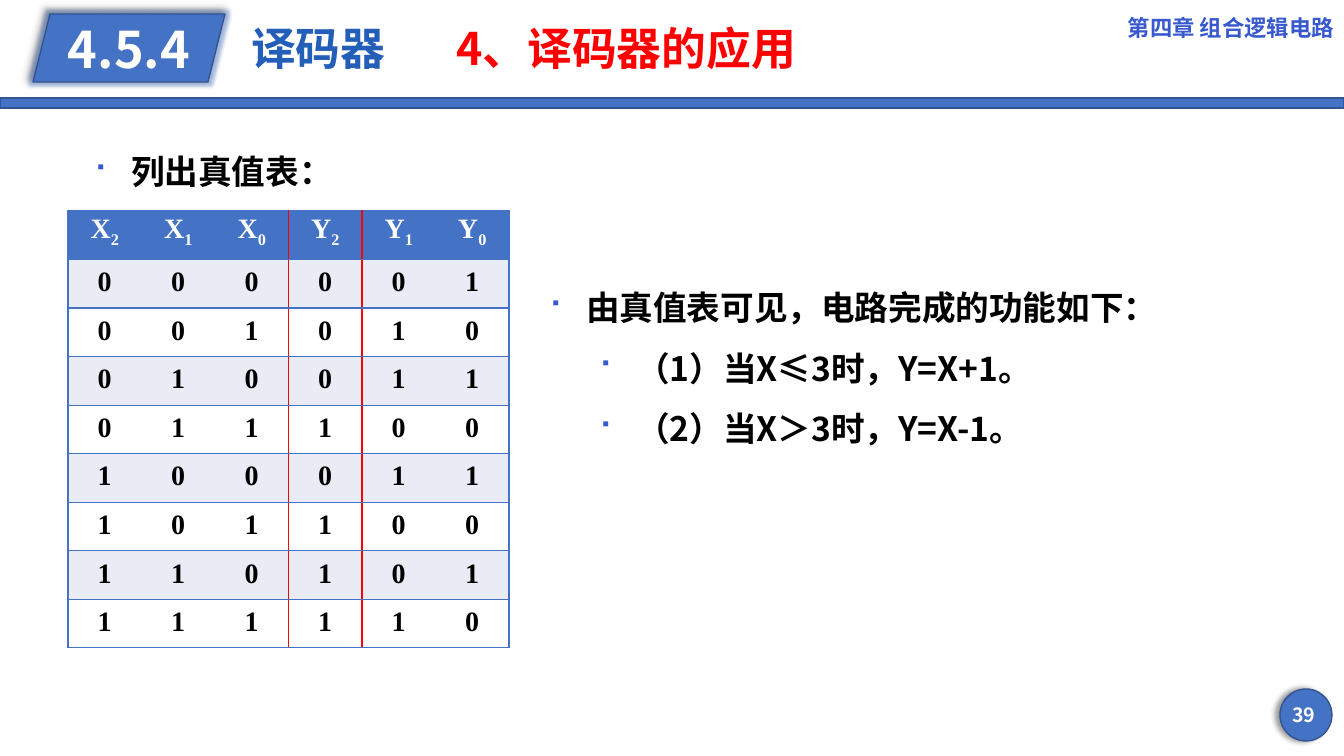
from lxml.etree import SubElement
from pptx import Presentation
from pptx.dml.color import RGBColor
from pptx.enum.shapes import MSO_SHAPE as Preset
from pptx.enum.text import MSO_ANCHOR as Anchor, MSO_AUTO_SIZE as AutoSize, PP_ALIGN as Align
from pptx.oxml.ns import qn
from pptx.util import Pt

WIDTH, HEIGHT = 1344, 756
EMU_PER_PX = 12192000 / WIDTH

BLUE = RGBColor(0x44, 0x72, 0xC4)
OUTLINE = RGBColor(0x32, 0x54, 0x91)
TITLE_BLUE = RGBColor(0x23, 0x5E, 0xB8)
ACCENT = RGBColor(0x38, 0x59, 0xCD)
RED = RGBColor(0xFF, 0, 0)
BAND = RGBColor(0xE9, 0xEB, 0xF5)
WHITE = RGBColor(0xFF, 0xFF, 0xFF)
BLACK = RGBColor(0, 0, 0)

SANS, SERIF = "Noto Sans CJK SC", "Times New Roman"
INPUTS = 3
HEADERS = ["X2", "X1", "X0", "Y2", "Y1", "Y0"]
OUTPUTS = ["001", "010", "011", "100", "011", "100", "101", "110"]


def px(length):
    return round(length * EMU_PER_PX)


def add_xml(parent, tag, **attributes):
    values = {name: str(value) for name, value in attributes.items()}
    return SubElement(parent, qn(tag), values)


def write(paragraph, text, size=24, color=BLACK, font=SANS, subscript=False):
    run = paragraph.add_run()
    run.text = text
    run.font.size, run.font.bold, run.font.name = Pt(size), True, font
    run.font.color.rgb = color
    properties = run._r.get_or_add_rPr()
    add_xml(properties, "a:ea", typeface=font)
    if subscript:
        properties.set("baseline", "-25000")


class SlideBuilder:
    def __init__(self, presentation):
        self.slide = presentation.slides.add_slide(presentation.slide_layouts[3])

    def place(self, shape, box):
        shape.left, shape.top, shape.width, shape.height = map(px, box)

    def shape(self, preset, box, shadow_angle=None, glow=False):
        shape = self.slide.shapes.add_shape(preset, *map(px, box))
        shape.shadow.inherit = False
        shape.fill.solid()
        shape.fill.fore_color.rgb = BLUE
        shape.line.color.rgb, shape.line.width = OUTLINE, Pt(1)
        effects = shape._element.spPr.find(qn("a:effectLst"))
        if glow:
            halo = add_xml(effects, "a:glow", rad=Pt(5))
            color = add_xml(halo, "a:srgbClr", val=BLUE)
            add_xml(color, "a:alpha", val=40000)
        if shadow_angle is not None:
            shadow = add_xml(effects, "a:outerShdw", blurRad=Pt(4), dist=Pt(3),
                             dir=shadow_angle * 60000, algn="ctr", rotWithShape=0)
            color = add_xml(shadow, "a:srgbClr", val=BLACK)
            add_xml(color, "a:alpha", val=40000)
        return shape

    def text(self, box, text, align, **style):
        self.label(self.slide.shapes.add_textbox(*map(px, box)), text, align, **style)

    def label(self, shape, text, align, **style):
        frame = shape.text_frame
        frame.word_wrap, frame.vertical_anchor = True, Anchor.MIDDLE
        paragraph = frame.paragraphs[0]
        paragraph.alignment = align
        write(paragraph, text, **style)

    def title(self, box, topic, heading, tab):
        title = self.slide.shapes.title
        self.place(title, box)
        frame = title.text_frame
        frame.auto_size, frame.vertical_anchor = AutoSize.NONE, Anchor.MIDDLE
        paragraph = frame.paragraphs[0]
        paragraph.alignment, paragraph.line_spacing = Align.LEFT, 0.9
        tabs = add_xml(paragraph._p.get_or_add_pPr(), "a:tabLst")
        add_xml(tabs, "a:tab", pos=px(tab), algn="l")
        write(paragraph, topic + "\t", size=32, color=TITLE_BLUE)
        write(paragraph, heading, size=32, color=RED)

    def bullets(self, index, box, items):
        body = self.slide.placeholders[index]
        self.place(body, box)
        frame = body.text_frame
        frame.auto_size, frame.vertical_anchor = AutoSize.NONE, Anchor.TOP
        for number, (level, text) in enumerate(items):
            paragraph = frame.add_paragraph() if number else frame.paragraphs[0]
            paragraph.level = level
            properties = paragraph._p.get_or_add_pPr()
            properties.set("marL", str(px(38 + 50 * level)))
            properties.set("indent", str(px(-38)))
            add_xml(add_xml(properties, "a:buClr"), "a:srgbClr", val=ACCENT)
            add_xml(properties, "a:buFont", typeface="Wingdings")
            add_xml(properties, "a:buChar", char="■")
            paragraph.line_spacing, paragraph.space_before = 1.5, Pt(0)
            write(paragraph, text)

    def border(self, cell, side, color):
        line = add_xml(cell._tc.get_or_add_tcPr(), f"a:ln{side}", w=Pt(1))
        if color is None:
            add_xml(line, "a:noFill")
        else:
            add_xml(add_xml(line, "a:solidFill"), "a:srgbClr", val=color)

    def truth_table(self, box, rows):
        columns = len(rows[0])
        table = self.slide.shapes.add_table(len(rows), columns, *map(px, box)).table
        # Colour of each vertical rule, from the left edge to the right edge
        rules = [None] * (columns + 1)
        rules[0] = rules[-1] = BLUE
        rules[INPUTS] = rules[INPUTS + 1] = RED
        for row, values in enumerate(rows):
            for column, value in enumerate(values):
                cell = table.cell(row, column)
                cell.margin_left = cell.margin_right = px(11)
                cell.margin_top = cell.margin_bottom = 0
                cell.vertical_anchor = Anchor.MIDDLE
                sides = {"L": rules[column], "R": rules[column + 1], "T": BLUE, "B": BLUE}
                for side, color in sides.items():
                    self.border(cell, side, color)
                cell.fill.solid()
                cell.fill.fore_color.rgb = BLUE if row == 0 else BAND if row % 2 else WHITE
                paragraph = cell.text_frame.paragraphs[0]
                paragraph.alignment, paragraph.line_spacing = Align.CENTER, Pt(20)
                color = BLACK if row else WHITE
                write(paragraph, value[0], size=20, color=color, font=SERIF)
                if value[1:]:
                    write(paragraph, value[1:], size=20, color=color, font=SERIF, subscript=True)


def main():
    presentation = Presentation()
    presentation.slide_width, presentation.slide_height = px(WIDTH), px(HEIGHT)
    builder = SlideBuilder(presentation)

    # Header band and page number
    builder.shape(Preset.RECTANGLE, (0, 98, WIDTH, 10))
    builder.shape(Preset.OVAL, (1280, 689, 52, 52), shadow_angle=180)
    builder.text((1273, 694, 62, 41), "39", Align.CENTER, size=14, color=WHITE)

    # Section number, title and chapter name
    section = builder.shape(Preset.PARALLELOGRAM, (33, 14, 192, 68), shadow_angle=225, glow=True)
    builder.label(section, "4.5.4", Align.CENTER, size=36, color=WHITE)
    builder.title((241, 11, 636, 81), "译码器", "4、译码器的应用", tab=205)
    builder.text((1112, 0, 232, 56), "第四章 组合逻辑电路", Align.RIGHT, size=16, color=ACCENT)

    # Truth table: the inputs count up in binary
    rows = [HEADERS] + [f"{number:03b}{output}" for number, output in enumerate(OUTPUTS)]
    builder.truth_table((68, 211, 441, 437), rows)

    # Bulleted text
    builder.bullets(1, (83, 126, 317, 72), [(0, "列出真值表：")])
    builder.bullets(2, (538, 262, 645, 194), [
        (0, "由真值表可见，电路完成的功能如下："),
        (1, "（1）当X≤3时，Y=X+1。"),
        (1, "（2）当X＞3时，Y=X-1。"),
    ])
    presentation.save("out.pptx")


if __name__ == "__main__":
    main()
